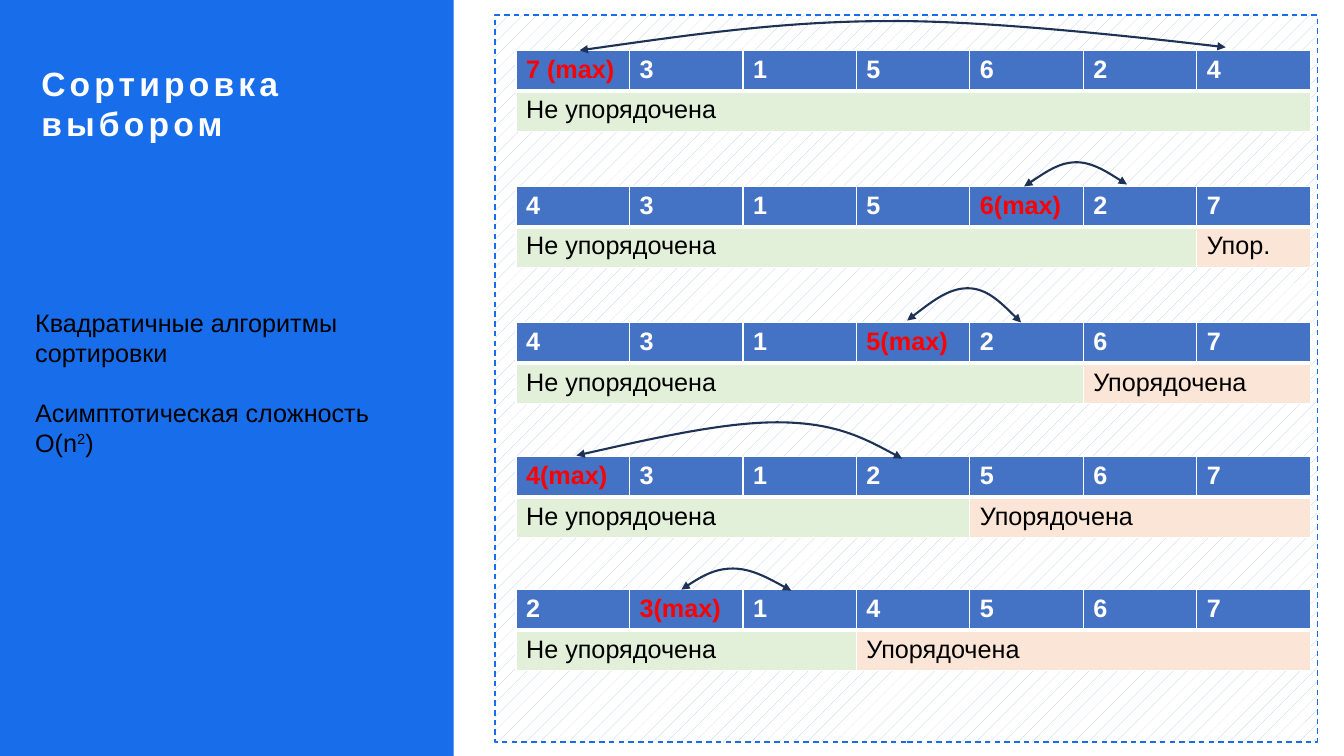
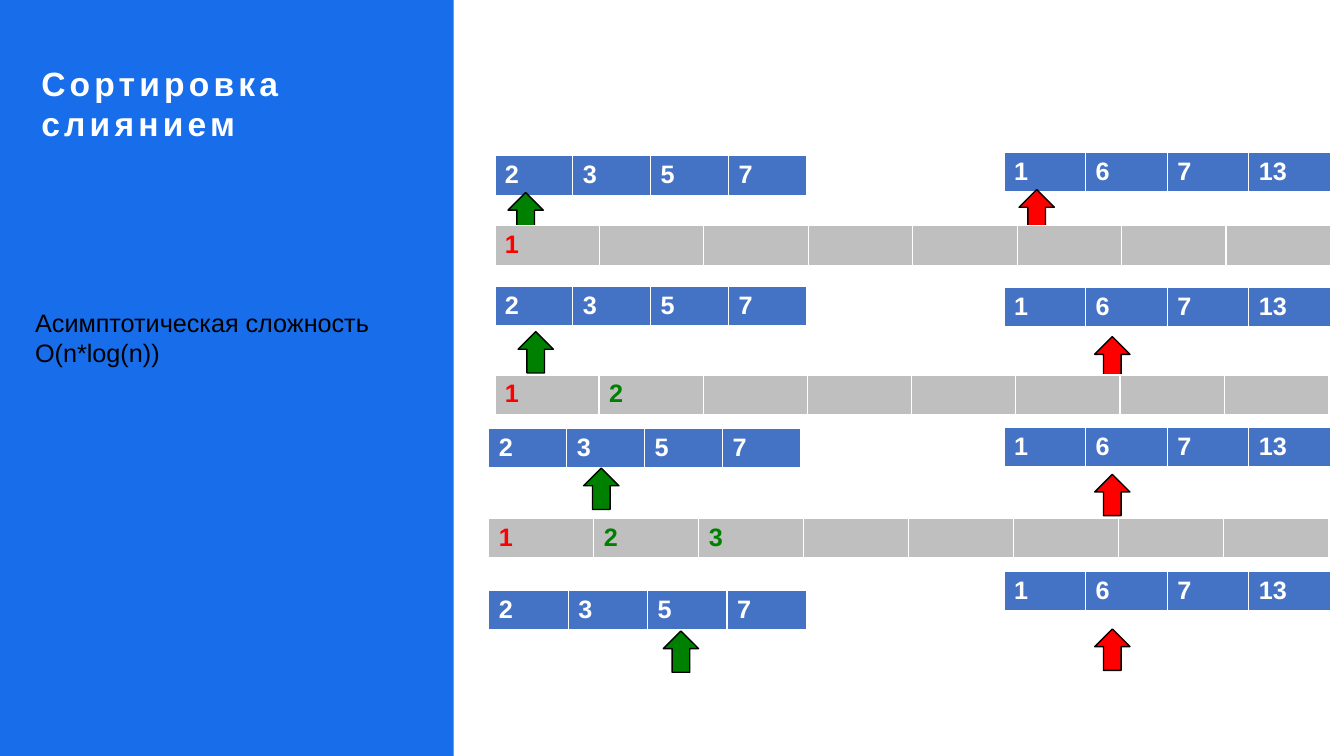
from dataclasses import dataclass

from lxml.etree import SubElement
from pptx import Presentation
from pptx.dml.color import RGBColor
from pptx.enum.dml import MSO_LINE, MSO_PATTERN
from pptx.enum.shapes import MSO_SHAPE
from pptx.oxml.ns import qn
from pptx.util import Pt


@dataclass(frozen=True)
class Theme:
    font: str = "Arial"
    title_size: float = 24
    text_size: float = 18
    band: str = "176DEA"
    white: str = "FFFFFF"
    black: str = "000000"
    red: str = "FF0000"
    green: str = "008000"
    cell: str = "4472C4"
    unsorted: str = "E2F0D9"
    sorted: str = "FBE5D6"
    merged: str = "BFBFBF"
    hatch: str = "B4C7E7"
    curve: str = "1E3256"


T = Theme()

# Content: each paragraph is a list of (text, superscript) runs
SELECTION_TITLE = [[("Сортировка выбором", False)]]
SELECTION_NOTES = [
    [("Квадратичные алгоритмы сортировки", False)],
    [("Асимптотическая сложность O(n", False), ("2", True), (")", False)],
]
MERGE_TITLE = [[("Сортировка", False)], [("слиянием", False)]]
MERGE_NOTES = [[("Асимптотическая сложность O(n*log(n))", False)]]

# Selection sort: top, values, sorted count, sorted label, Bezier points of the swap
SELECTION_STEPS = [
    (36, ["7 (max)", "3", "1", "5", "6", "2", "4"], 0, "",
     [(414, 36), (486, 25.9), (558, 15.1), (635, 15.1),
      (712, 14.4), (875.5, 33.8), (875.5, 33.8)]),
    (133.2, ["4", "3", "1", "5", "6(max)", "2", "7"], 1, "Упор.",
     [(731.5, 133.2), (744.5, 124.6), (756.7, 115.9), (769, 115.9),
      (781.2, 115.9), (805, 131.8), (805, 131.8)]),
    (230.4, ["4", "3", "1", "5(max)", "2", "6", "7"], 2, "Упорядочена",
     [(648, 229), (663.1, 217.4), (677.5, 205.9), (691.2, 205.9),
      (704.9, 205.9), (717.1, 218.2), (729.4, 230.4)]),
    (326.2, ["4(max)", "3", "1", "2", "5", "6", "7"], 3, "Упорядочена",
     [(411.8, 325.4), (465.8, 313.2), (519.8, 301), (558.7, 301.7),
      (597.6, 302.4), (620.6, 314.6), (644.4, 327.6)]),
    (421.2, ["2", "3(max)", "1", "4", "5", "6", "7"], 4, "Упорядочена",
     [(486.7, 421.2), (498.2, 413.3), (510.5, 406.1), (523.4, 406.1),
      (536.4, 406.1), (550.8, 414), (565.2, 421.9)]),
]

# Merge sort: boxes are (left, top, width), pointers are (left, top)
LEFT_RUN = ["2", "3", "5", "7"]
RIGHT_RUN = ["1", "6", "7", "13"]
MERGE_STEPS = [
    dict(left=(353.5, 111.3, 222.5), right=(717.1, 109, 233.3),
         pointers=[(362.9, 137.5), (727.9, 135.4)],
         merged=(353.5, 161.3, 596.9), result=["1"]),
    dict(left=(353.5, 204.5, 222.5), right=(717.1, 205.2, 233.3),
         pointers=[(370.1, 236.9), (781.9, 240.5)],
         merged=(353.5, 267.9, 595.4), result=["1", "2"]),
    dict(left=(349.2, 306, 222.5), right=(717.1, 305.3, 233.3),
         pointers=[(416.9, 334.4), (781.9, 338.8)],
         merged=(349.2, 370.1, 599.8), result=["1", "2", "3"]),
    dict(left=(349.2, 421.9, 226.8), right=(717.1, 408.2, 233.3),
         pointers=[(473.8, 450.7), (781.9, 449.3)]),
]
ROW_H = 29
ARRAY_LEFT, ARRAY_W = 368.6, 567.4


def rgb(color):
    return RGBColor.from_string(color)


def style(font, size, color, bold=False):
    font.name, font.size, font.bold = T.font, Pt(size), bold
    font.color.rgb = rgb(color)


def add_text(slide, box, paragraphs, size, color, bold=False, inset=None, spacing=None, gap=0):
    tf = slide.shapes.add_textbox(*map(Pt, box)).text_frame
    tf.word_wrap = True
    if inset is not None:
        tf.margin_left = tf.margin_top = tf.margin_right = tf.margin_bottom = Pt(inset)
    for i, runs in enumerate(paragraphs):
        p = tf.add_paragraph() if i else tf.paragraphs[0]
        style(p.font, size, color, bold)
        if i and gap:
            p.space_before = Pt(gap)
        for text, superscript in runs:
            r = p.add_run()
            r.text = text
            rPr = r._r.get_or_add_rPr()
            if superscript:
                rPr.set("baseline", "30000")
            if spacing:
                rPr.set("spc", str(spacing * 100))


def add_shape(slide, kind, box, color=None, line=None):
    sp = slide.shapes.add_shape(kind, *map(Pt, box))
    sp.shadow.inherit = False
    if color:
        sp.fill.solid()
        sp.fill.fore_color.rgb = rgb(color)
    if line:
        sp.line.color.rgb, sp.line.width = rgb(line), Pt(1)
    else:
        sp.line.fill.background()
    return sp


def add_base(prs, title, notes):
    """Blank slide with the side band, title and notes."""
    slide = prs.slides.add_slide(prs.slide_layouts[6])
    add_shape(slide, MSO_SHAPE.RECTANGLE, (0, 0, 324, 540), T.band)
    add_text(slide, (29.5, 44.6, 294.5, 58.3), title, T.title_size, T.white,
             bold=True, inset=0, spacing=3)
    add_text(slide, (18, 216, 294.5, 51), notes, T.text_size, T.black, gap=20.7)
    return slide


def add_grid(slide, left, top, width, rows, cols):
    table = slide.shapes.add_table(
        rows, cols, Pt(left), Pt(top), Pt(width), Pt(ROW_H * rows)).table
    table.first_row = table.horz_banding = False
    return table


def fill_cell(cell, text, fill, color, bold=True, top=1, bottom=3):
    tcPr = cell._tc.get_or_add_tcPr()
    for side, width in (("L", 1), ("R", 1), ("T", top), ("B", bottom)):
        ln = SubElement(tcPr, qn(f"a:ln{side}"), w=str(Pt(width)))
        SubElement(SubElement(ln, qn("a:solidFill")), qn("a:srgbClr"), val=T.white)
    cell.fill.solid()
    cell.fill.fore_color.rgb = rgb(fill)
    p = cell.text_frame.paragraphs[0]
    if text:
        p.add_run().text = text
    style(p.font, T.text_size, color, bold)


def add_array(slide, box, values, fill=T.cell, colors=None):
    table = add_grid(slide, *box, 1, len(values))
    for i, value in enumerate(values):
        fill_cell(table.cell(0, i), value, fill, colors[i] if colors else T.white)


def add_step_table(slide, top, values, sorted_count, sorted_label):
    n = len(values)
    split = n - sorted_count
    table = add_grid(slide, ARRAY_LEFT, top, ARRAY_W, 2, n)
    for i, value in enumerate(values):
        fill_cell(table.cell(0, i), value, T.cell, T.red if "max" in value else T.white)
    for first, end, label, fill in ((0, split, "Не упорядочена", T.unsorted),
                                    (split, n, sorted_label, T.sorted)):
        for i in range(first, end):
            fill_cell(table.cell(1, i), label if i == first else "", fill, T.black,
                      bold=False, top=3, bottom=1)
        if end - first > 1:
            table.cell(1, first).merge(table.cell(1, end - 1))


def add_swap_curve(slide, points):
    """Cubic Bezier curve with an arrowhead at each end."""
    start, *rest = [(Pt(x), Pt(y)) for x, y in points]
    builder = slide.shapes.build_freeform(*start)
    builder.add_line_segments(rest, close=False)
    sp = builder.convert_to_shape()
    sp.shadow.inherit = False
    sp.fill.background()
    sp.line.color.rgb, sp.line.width = rgb(T.curve), Pt(1.5)
    # Every three line points become one cubic segment
    outline = next(sp._element.iter(qn("a:path")))
    segments = outline.findall(qn("a:lnTo"))
    for i in range(0, len(segments), 3):
        cubic = SubElement(outline, qn("a:cubicBezTo"))
        for segment in segments[i:i + 3]:
            cubic.append(segment[0])
            outline.remove(segment)
    ln = sp.line._get_or_add_ln()
    for end in ("headEnd", "tailEnd"):
        SubElement(ln, qn(f"a:{end}"), type="triangle")


def build_selection(prs):
    slide = add_base(prs, SELECTION_TITLE, SELECTION_NOTES)
    frame = add_shape(slide, MSO_SHAPE.RECTANGLE, (353.5, 10.8, 587.5, 519.1), line=T.band)
    frame.fill.patterned()
    frame.fill.pattern = MSO_PATTERN.PERCENT_5
    frame.fill.fore_color.rgb, frame.fill.back_color.rgb = rgb(T.hatch), rgb(T.white)
    frame.line.dash_style = MSO_LINE.DASH
    for *step, curve in SELECTION_STEPS:
        add_step_table(slide, *step)
        add_swap_curve(slide, curve)


def build_merge(prs):
    slide = add_base(prs, MERGE_TITLE, MERGE_NOTES)
    for step in MERGE_STEPS:
        add_array(slide, step["left"], LEFT_RUN)
        add_array(slide, step["right"], RIGHT_RUN)
        for pointer, color in zip(step["pointers"], (T.green, T.red)):
            add_shape(slide, MSO_SHAPE.UP_ARROW, (*pointer, 25.2, 29.5), color, T.black)
        if "merged" in step:
            size = len(LEFT_RUN) + len(RIGHT_RUN)
            values = step["result"] + [""] * (size - len(step["result"]))
            add_array(slide, step["merged"], values, T.merged,
                      [T.red] + [T.green] * (size - 1))


def main():
    prs = Presentation()
    prs.slide_width, prs.slide_height = Pt(960), Pt(540)
    build_selection(prs)
    build_merge(prs)
    prs.save("out.pptx")


if __name__ == "__main__":
    main()
